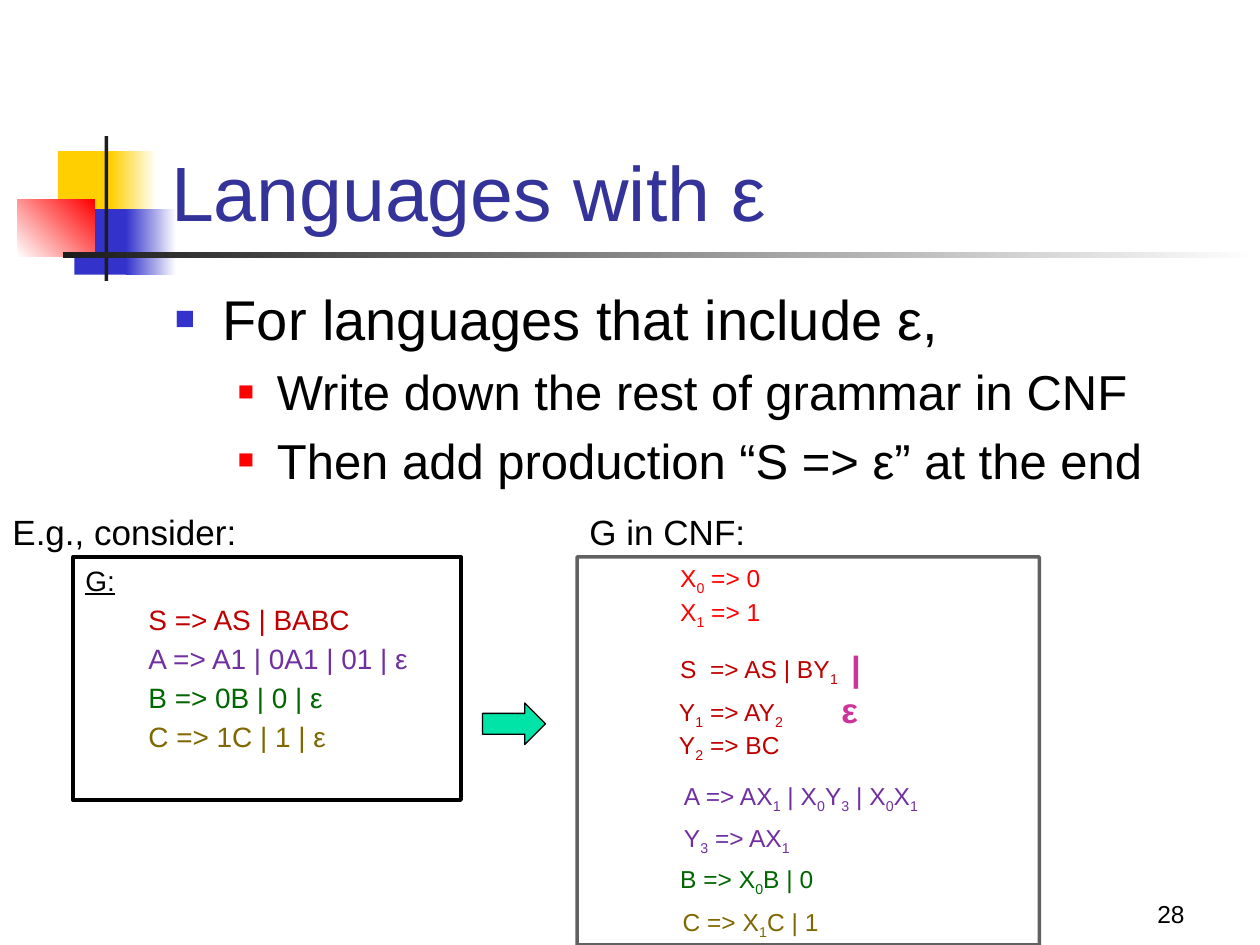
from lxml import etree
from pptx import Presentation
from pptx.dml.color import RGBColor
from pptx.enum.shapes import MSO_SHAPE
from pptx.enum.text import MSO_ANCHOR, PP_ALIGN
from pptx.oxml.ns import qn
from pptx.util import Inches, Pt

RECTANGLE, RIGHT_ARROW = MSO_SHAPE.RECTANGLE, MSO_SHAPE.RIGHT_ARROW
TOP, BOTTOM = MSO_ANCHOR.TOP, MSO_ANCHOR.BOTTOM
RIGHT = PP_ALIGN.RIGHT

FONT = "Arial"
BLACK, WHITE, DARK, TITLE_BLUE = "000000", "FFFFFF", "1C1C1C", "333399"
YELLOW, BLUE, RED, MINT, PINK = "FFCF01", "3333CC", "FF0000", "00E4A8", "CC3499"
MAROON, PURPLE, GREEN, OLIVE = "C00000", "7030A0", "006600", "806800"


def color(hex_string):
    return RGBColor.from_string(hex_string)


def add_child(parent, tag, **attributes):
    child = etree.SubElement(parent, qn(tag))
    for name, value in attributes.items():
        child.set(name, str(value))
    return child


def add_block(slide, box, kind=RECTANGLE, fill=None, gradient=None, angle=0,
              line=None, width=0):
    shape = slide.shapes.add_shape(kind, *map(Inches, box))
    shape.shadow.inherit = False
    if gradient:
        shape.fill.gradient()
        shape.fill.gradient_angle = angle
        for stop, stop_color in zip(shape.fill.gradient_stops, gradient):
            stop.color.rgb = color(stop_color)
    elif fill:
        shape.fill.solid()
        shape.fill.fore_color.rgb = color(fill)
    else:
        shape.fill.background()
    if line:
        shape.line.color.rgb = color(line)
        shape.line.width = Pt(width)
    else:
        shape.line.fill.background()
    return shape


def add_text_box(slide, box, wrap=True, anchor=TOP):
    frame = slide.shapes.add_textbox(*map(Inches, box)).text_frame
    frame.word_wrap = wrap
    frame.vertical_anchor = anchor
    return frame


def write(paragraph, text, size, text_color, **formats):
    """Write text; the character after each underscore is a subscript."""
    first, *rest = text.split("_")
    pieces = [(first, False)]
    for part in rest:
        pieces += [(part[0], True), (part[1:], False)]
    for piece, subscript in pieces:
        if not piece:
            continue
        run = paragraph.add_run()
        run.text = piece
        run.font.color.rgb = color(text_color)
        for name, value in {"name": FONT, "size": Pt(size), **formats}.items():
            setattr(run.font, name, value)
        if subscript:
            run.font._element.set("baseline", "-25000")


def paragraphs(frame, count):
    return [frame.paragraphs[0]] + [frame.add_paragraph() for _ in range(count - 1)]


def indent(paragraph, left, first, bullet_color=None, bullet_size=0):
    """Set indents, 20% space before and, if asked for, a square bullet."""
    properties = paragraph._p.get_or_add_pPr()
    properties.set("marL", str(Inches(left)))
    properties.set("indent", str(Inches(first)))
    add_child(add_child(properties, "a:spcBef"), "a:spcPct", val=20000)
    if bullet_color:
        add_child(add_child(properties, "a:buClr"), "a:srgbClr", val=bullet_color)
        add_child(properties, "a:buSzPct", val=bullet_size * 1000)
        add_child(properties, "a:buFont", typeface=FONT)
        add_child(properties, "a:buChar", char="■")


def add_decoration(slide, left, top):
    """Coloured squares with the two crossing bars."""
    parts = [
        (0.32, 0.12, 0.48, 0.52, {"fill": YELLOW}),
        (0.74, 0.12, 0.36, 0.52, {"gradient": (YELLOW, WHITE)}),
        (0.45, 0.58, 0.46, 0.52, {"fill": BLUE}),
        (0.86, 0.58, 0.4, 0.52, {"gradient": (BLUE, WHITE)}),
        (0, 0.5, 0.61, 0.46, {"gradient": (WHITE, RED), "angle": 45}),
        (0.69, 0, 0.03, 1.15, {"fill": DARK}),
        (0.36, 0.92, 9.5, 0.05, {"gradient": (DARK, WHITE)}),
    ]
    for x, y, width, height, look in parts:
        add_block(slide, (left + x, top + y, width, height), **look)


def add_title(slide, box):
    frame = add_text_box(slide, box, anchor=BOTTOM)
    write(frame.paragraphs[0], "Languages with ε", 44, TITLE_BLUE)


def add_body(slide, box):
    first_level = (32, 0.38, -0.38, BLUE, 60)
    second_level = (28, 0.81, -0.31, RED, 55)
    lines = [
        ("For languages that include ε,", first_level),
        ("Write down the rest of grammar in CNF", second_level),
        ("Then add production “S => ε” at the end", second_level),
    ]
    frame = add_text_box(slide, box)
    for paragraph, (text, (size, *layout)) in zip(paragraphs(frame, len(lines)), lines):
        indent(paragraph, *layout)
        write(paragraph, text, size, BLACK)


def add_label(slide, left, top, width, text):
    frame = add_text_box(slide, (left, top, width, 0.44), wrap=False)
    write(frame.paragraphs[0], text, 20, BLACK)


def add_grammar(slide, box):
    """Framed grammar G before conversion."""
    frame = add_block(slide, box, fill=WHITE, line=BLACK, width=2).text_frame
    frame.word_wrap = True
    frame.vertical_anchor = TOP
    lines = [
        ("G:", BLACK, 0),
        ("S => AS | BABC", MAROON, 0.5),
        ("A => A1 | 0A1 | 01 | ε", PURPLE, 0.5),
        ("B => 0B | 0 | ε", GREEN, 0.5),
        ("C => 1C | 1 | ε", OLIVE, 0.5),
    ]
    for paragraph, (text, text_color, left) in zip(paragraphs(frame, len(lines)), lines):
        paragraph.alignment = PP_ALIGN.LEFT
        indent(paragraph, left, 0)
        write(paragraph, text, 16, text_color, underline=left == 0)


def add_normal_form(slide, box):
    """Framed grammar in Chomsky normal form, with the added production."""
    left, top, _, _ = box
    frame_shape = add_block(slide, box, line=BLACK, width=2)
    line_color = frame_shape.line._ln.find(".//" + qn("a:srgbClr"))
    add_child(line_color, "a:alpha", val=62000)

    groups = [
        (0.72, 0, 0.86, RED, ["X_0 => 0", "X_1 => 1"]),
        (0.72, 0.72, 1.48, MAROON, ["S  => AS | BY_1"]),
        (0.71, 1.06, 1.06, MAROON, ["Y_1 => AY_2", "Y_2 => BC"]),
        (0.75, 1.73, 2.12, PURPLE, ["A => AX_1 | X_0Y_3 | X_0X_1"]),
        (0.75, 2.06, 1.07, PURPLE, ["Y_3 => AX_1"]),
        (0.72, 2.39, 1.27, GREEN, ["B => X_0B | 0"]),
        (0.74, 2.73, 1.3, OLIVE, ["C => X_1C | 1"]),
    ]
    for x, y, width, text_color, rules in groups:
        height = 0.11 + 0.23 * len(rules)
        frame = add_text_box(slide, (left + x, top + y, width, height), wrap=False)
        for paragraph, rule in zip(paragraphs(frame, len(rules)), rules):
            write(paragraph, rule, 14, text_color)

    added = add_text_box(slide, (left + 2, top + 0.66, 0.55, 0.44))
    write(added.paragraphs[0], " | ε", 20, PINK, bold=True)


def add_slide_number(slide, box):
    paragraph = add_text_box(slide, box, anchor=BOTTOM).paragraphs[0]
    paragraph.alignment = RIGHT
    write(paragraph, "28", 14, BLACK)


def main():
    presentation = Presentation()
    presentation.slide_width, presentation.slide_height = Inches(10), Inches(7.5)
    slide = presentation.slides.add_slide(presentation.slide_layouts[6])

    add_decoration(slide, 0.14, 1.08)
    add_slide_number(slide, (7.42, 6.92, 2.08, 0.5))
    add_title(slide, (1.26, 0.68, 8.52, 1.25))
    add_body(slide, (1.29, 2.21, 8.5, 4.5))

    # Grammar before and after, joined by an arrow
    add_grammar(slide, (0.58, 4.42, 3.08, 1.93))
    add_block(slide, (3.83, 5.58, 0.5, 0.33), RIGHT_ARROW, fill=MINT,
              line=BLACK, width=0.75)
    add_label(slide, 4.58, 4, 1.45, "G in CNF:")
    add_label(slide, 0, 4, 1.99, "E.g., consider:")
    add_normal_form(slide, (4.58, 4.42, 3.67, 3.08))

    presentation.save("out.pptx")


if __name__ == "__main__":
    main()
